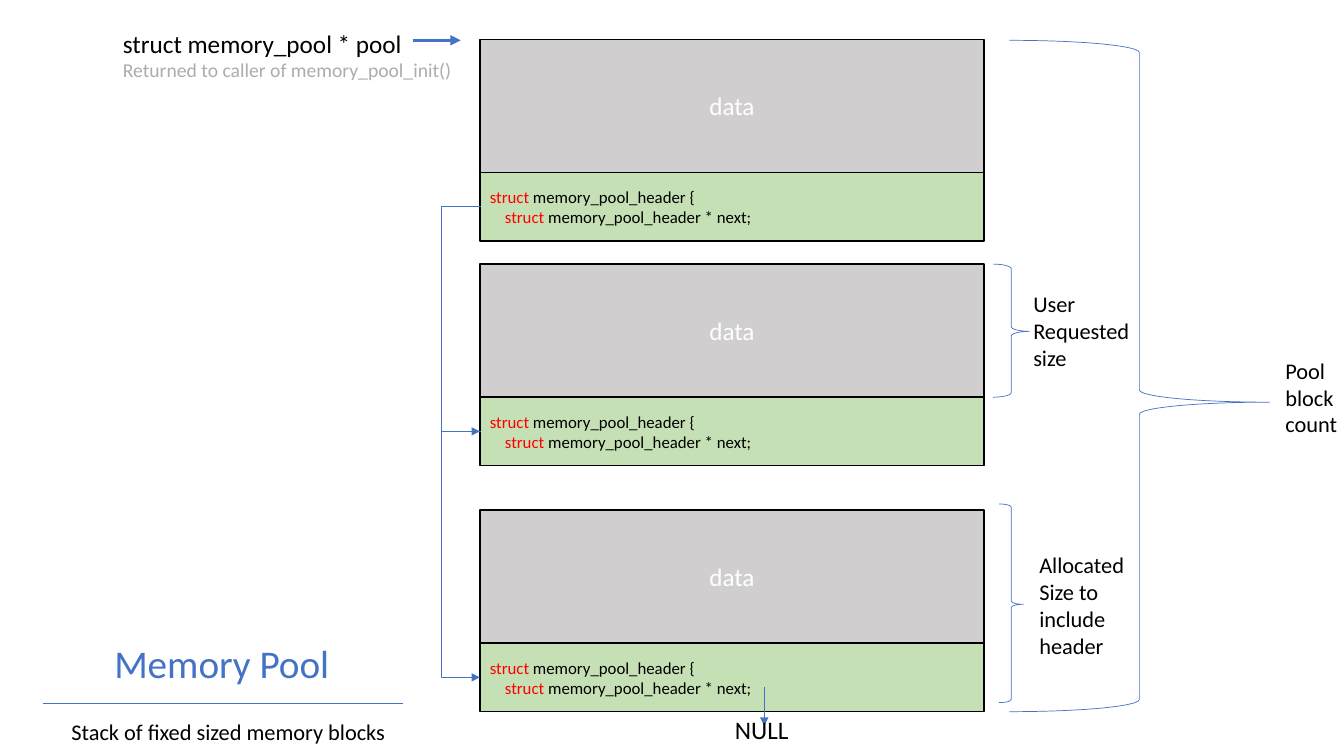
from pptx import Presentation
from pptx import util as u
from pptx.dml import color
from pptx.enum import shapes, text
from pptx.oxml import ns
from lxml import etree

PX = 9144
FONT = "Calibri"
BLUE, BLACK, WHITE, RED = "4472C4", "000000", "FFFFFF", "FF0000"
GREY, GREEN, MUTED = "D0CECE", "C5E0B4", "AFABAB"
BLOCK_LEFT, BLOCK_WIDTH = 476, 500
DATA_HEIGHT, HEADER_HEIGHT = 132, 68
BLOCK_TOPS = [39, 262, 506]


def px(*lengths):
    """Turn px lengths into EMU."""
    return [u.Emu(length * PX) for length in lengths]


def rgb(code):
    """Turn a hex string into a colour."""
    return color.RGBColor.from_string(code)


def style(paragraph, size, code, align=text.PP_ALIGN.LEFT):
    """Set font and alignment of a whole paragraph."""
    paragraph.font.name, paragraph.font.size = FONT, u.Pt(size)
    paragraph.font.color.rgb = rgb(code)
    paragraph.alignment = align


def add_label(slide, box, lines, wrap=True):
    """Add a text box with one (wording, size, colour) per paragraph."""
    label = slide.shapes.add_textbox(*px(*box))
    frame = label.text_frame
    frame.word_wrap = wrap
    for index, (wording, size, code) in enumerate(lines):
        paragraph = frame.add_paragraph() if index else frame.paragraphs[0]
        paragraph.text = wording
        style(paragraph, size, code)
    return label


def add_line(slide, start, end, weight=0.5, arrow=True, bend=None):
    """Add a straight line, or one that bends at a share of its width."""
    kind = shapes.MSO_CONNECTOR.ELBOW if bend else shapes.MSO_CONNECTOR.STRAIGHT
    line = slide.shapes.add_connector(kind, *px(*start, *end))
    line.line.color.rgb = rgb(BLUE)
    line.line.width = u.Pt(weight)
    properties = line._element.spPr
    if arrow:
        etree.SubElement(line.line._get_or_add_ln(), ns.qn("a:tailEnd"), type="triangle")
    if bend:
        guides = properties.find(ns.qn("a:prstGeom")).get_or_add_avLst()
        etree.SubElement(guides, ns.qn("a:gd"), name="adj1", fmla=f"val {bend * 100000}")
    etree.SubElement(properties, ns.qn("a:effectLst"))


def add_cell(slide, box, fill):
    """Add one outlined rectangle of a block and return its text frame."""
    cell = slide.shapes.add_shape(shapes.MSO_SHAPE.RECTANGLE, *px(*box))
    cell.shadow.inherit = False
    cell.fill.solid()
    cell.fill.fore_color.rgb = rgb(fill)
    cell.line.color.rgb = rgb(BLACK)
    cell.line.width = u.Pt(1)
    cell.text_frame.vertical_anchor = text.MSO_ANCHOR.MIDDLE
    return cell.text_frame


def add_block(slide, left, top):
    """Add a memory block: its data above its header."""
    data = add_cell(slide, (left, top, BLOCK_WIDTH, DATA_HEIGHT), GREY)
    data.text = "data"
    style(data.paragraphs[0], 18, WHITE, text.PP_ALIGN.CENTER)

    header = add_cell(slide, (left, top + DATA_HEIGHT, BLOCK_WIDTH, HEADER_HEIGHT), GREEN)
    declaration, member = header.paragraphs[0], header.add_paragraph()
    for paragraph, rest in ((declaration, " memory_pool_header {"),
                            (member, " memory_pool_header * next;")):
        style(paragraph, 12, BLACK)
        keyword = paragraph.add_run()
        keyword.text = "struct"
        keyword.font.color.rgb = rgb(RED)
        paragraph.add_run().text = rest
    member._p.get_or_add_pPr().set("marL", str(15 * PX))


def add_brace(slide, box, curl, tip):
    """Add a brace that opens to the left."""
    brace = slide.shapes.add_shape(shapes.MSO_SHAPE.LEFT_BRACE, *px(*box))
    brace.rotation = 180
    brace.adjustments[0], brace.adjustments[1] = curl, tip
    brace.shadow.inherit = False
    brace.fill.background()
    brace.line.color.rgb = rgb(BLUE)
    brace.line.width = u.Pt(0.5)


def add_heading(slide, left, top):
    """Place the title, its rule and the subtitle."""
    title = slide.shapes.title
    title.left, title.top, title.width, title.height = px(left, top, 366, 55)
    frame = title.text_frame
    frame.text = "Memory Pool"
    frame.auto_size = text.MSO_AUTO_SIZE.NONE
    frame.vertical_anchor = text.MSO_ANCHOR.BOTTOM
    style(frame.paragraphs[0], 28, BLUE, text.PP_ALIGN.CENTER)
    frame.paragraphs[0].line_spacing = 0.9
    add_line(slide, (left + 6, top + 66), (left + 363, top + 66), arrow=False)
    add_label(slide, (left + 24, top + 76, 434, 37),
              [("Stack of fixed sized memory blocks", 16, BLACK)])


def add_pool(slide, left, tops):
    """Stack the blocks and chain their headers down to NULL."""
    for top in tops:
        add_block(slide, left, top)
    middles = [top + DATA_HEIGHT + HEADER_HEIGHT // 2 for top in tops]
    for start, end in zip(middles, middles[1:]):
        add_line(slide, (left + 1, start), (left, end), bend=40)
    add_line(slide, (left + 282, middles[-1] + 10), (left + 282, middles[-1] + 48))
    add_label(slide, (left + 243, middles[-1] + 32, 74, 40), [("NULL", 18, BLACK)], wrap=False)


def add_pointer(slide, left, top):
    """Add the pool pointer and its arrow to the first block."""
    add_label(slide, (left, top, 361, 64),
              [("struct memory_pool * pool", 18, BLACK),
               ("Returned to caller of memory_pool_init()", 14, MUTED)])
    add_line(slide, (left + 298, top + 17), (left + 345, top + 17), weight=2.5)


def add_sizes(slide):
    """Add the braces that measure the pool, with their labels."""
    measures = [
        ((1001, 40, 258, 666), 0.047, 0.461, (1265, 349, 68, 91), ["Pool", "block", "count"]),
        ((985, 262, 36, 132), 0.128, 0.495, (1015, 283, 124, 91), ["User", "Requested", "size"]),
        ((991, 500, 24, 197), 0.128, 0.495, (1021, 542, 134, 118),
         ["Allocated", "Size to include", "header"]),
    ]
    for brace, curl, tip, box, words in measures:
        add_brace(slide, brace, curl, tip)
        label = add_label(slide, box, [(word, 16, BLACK) for word in words])
        label.text_frame.margin_right = 0 if box[0] + box[2] == 1333 else u.Inches(0.1)


def main():
    """Build the memory pool slide."""
    deck = Presentation()
    deck.slide_width, deck.slide_height = px(1333, 750)
    slide = deck.slides.add_slide(deck.slide_layouts[5])
    add_heading(slide, 37, 632)
    add_pool(slide, BLOCK_LEFT, BLOCK_TOPS)
    add_pointer(slide, 112, 23)
    add_sizes(slide)
    deck.save("out.pptx")


if __name__ == "__main__":
    main()
